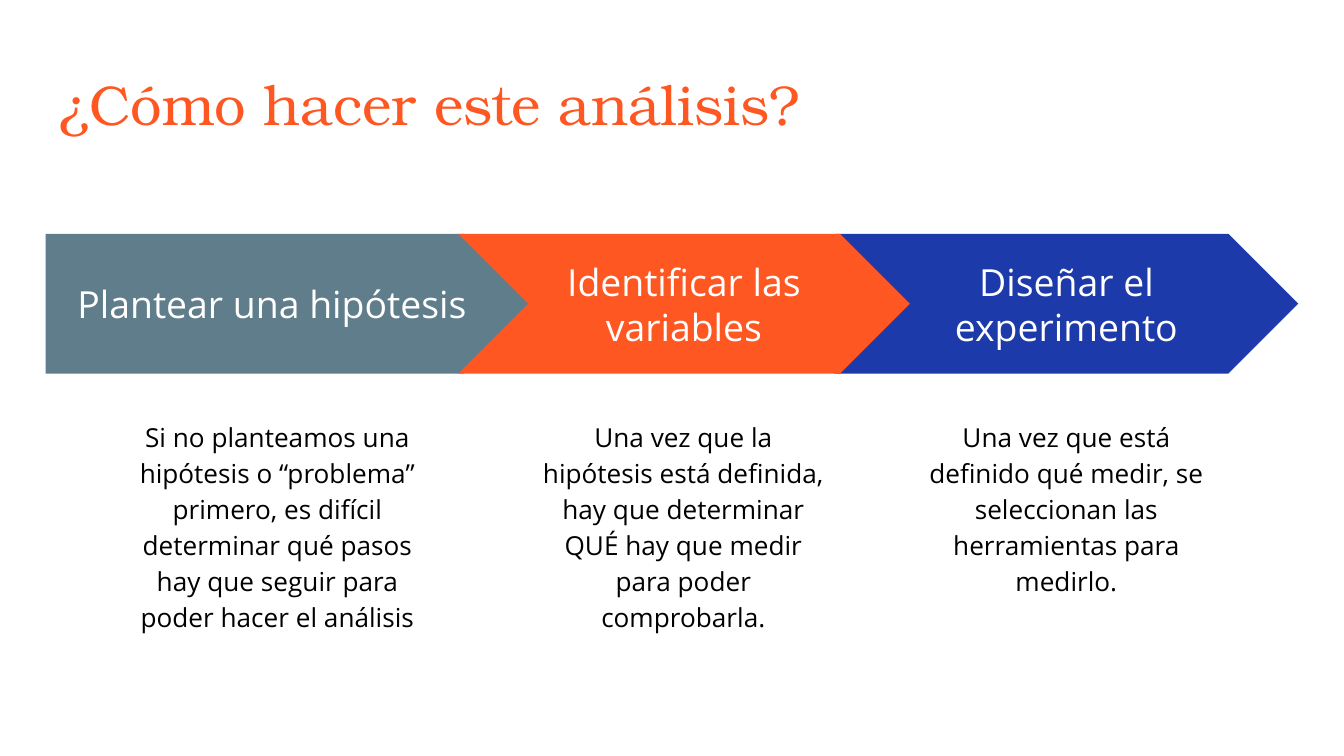
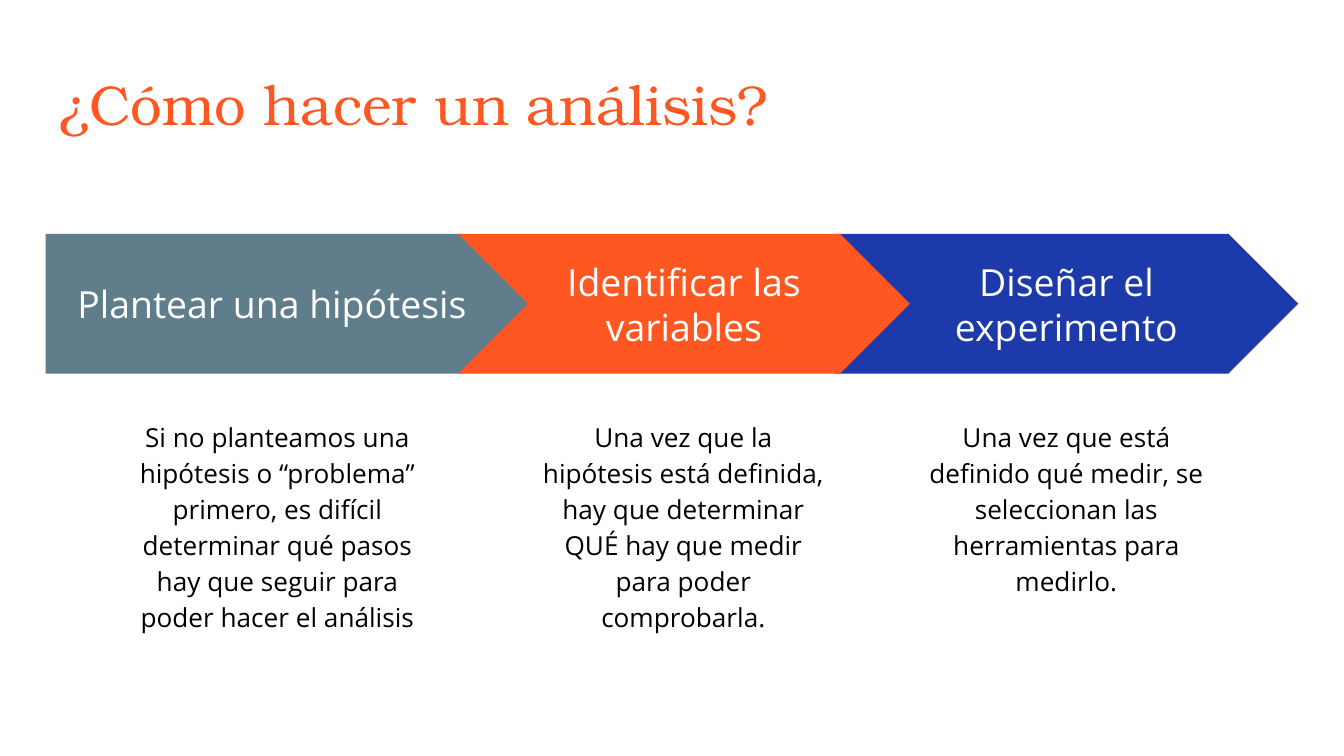
from dataclasses import dataclass

from pptx import Presentation
from pptx import util as u
from pptx.dml.color import RGBColor
from pptx.enum import shapes, text

TITLES = ["¿Cómo hacer este análisis?", "¿Cómo hacer un análisis?"]

STEPS = [
    {
        "name": "Plantear una hipótesis",
        "detail": "Si no planteamos una hipótesis o “problema” primero, es difícil "
                  "determinar qué pasos hay que seguir para poder hacer el análisis",
        "outline": shapes.MSO_SHAPE.PENTAGON,
        "fill": "607D8B",
        "width": 3.63,
        "detail_left": 0.9,
    },
    {
        "name": "Identificar las variables",
        "detail": "Una vez que la hipótesis está definida, hay que determinar QUÉ "
                  "hay que medir para poder comprobarla.",
        "outline": shapes.MSO_SHAPE.CHEVRON,
        "fill": "FF5722",
        "width": 3.36,
        "detail_left": 3.92,
    },
    {
        "name": "Diseñar el experimento",
        "detail": "Una vez que está definido qué medir, se seleccionan las "
                  "herramientas para medirlo.",
        "outline": shapes.MSO_SHAPE.CHEVRON,
        "fill": "1C3AA9",
        "width": 3.45,
        "detail_left": 6.77,
    },
]
BACK_TO_FRONT = (2, 0, 1)


@dataclass(frozen=True)
class Theme:
    title_font: str = "TeX Gyre Bonum"
    body_font: str = "Open Sans"
    title_size: int = 30
    step_size: int = 20
    detail_size: int = 14
    accent: str = "FF5722"
    light: str = "FFFFFF"
    dark: str = "000000"


THEME = Theme()
PAGE_WIDTH = 10
PAGE_HEIGHT = PAGE_WIDTH * 9 / 16
LEFT, CONTENT_WIDTH = 0.34, 9.32
TITLE_TOP, TITLE_HEIGHT = 0.49, 0.63
STEP_TOP, STEP_HEIGHT, STEP_OVERLAP = 1.74, 1.04, 0.56
DETAIL_TOP, DETAIL_WIDTH, DETAIL_HEIGHT = 3, 2.33, 1.9
INSET = 0.1


def write(box, content, font, size, color, align, anchor, spacing=1.0):
    frame = box.text_frame
    frame.text = content
    frame.word_wrap = True
    frame.auto_size = text.MSO_AUTO_SIZE.NONE
    frame.vertical_anchor = anchor
    frame.margin_left = frame.margin_right = u.Inches(INSET)
    frame.margin_top = frame.margin_bottom = u.Inches(INSET)
    for para in frame.paragraphs:
        para.alignment = align
        para.line_spacing = spacing
        for span in para.runs:
            span.font.name = font
            span.font.size = u.Pt(size)
            span.font.color.rgb = RGBColor.from_string(color)


def add_title(page, content):
    title = page.shapes.title
    title.left, title.top = u.Inches(LEFT), u.Inches(TITLE_TOP)
    title.width, title.height = u.Inches(CONTENT_WIDTH), u.Inches(TITLE_HEIGHT)
    write(title, content, THEME.title_font, THEME.title_size, THEME.accent,
          text.PP_ALIGN.LEFT, text.MSO_ANCHOR.BOTTOM)


def add_step(page, step, left):
    arrow = page.shapes.add_shape(
        step["outline"], u.Inches(left), u.Inches(STEP_TOP),
        u.Inches(step["width"]), u.Inches(STEP_HEIGHT))
    arrow.adjustments[0] = 0.5
    arrow.shadow.inherit = False
    arrow.fill.solid()
    arrow.fill.fore_color.rgb = RGBColor.from_string(step["fill"])
    arrow.line.fill.background()
    write(arrow, step["name"], THEME.body_font, THEME.step_size, THEME.light,
          text.PP_ALIGN.CENTER, text.MSO_ANCHOR.MIDDLE)

    detail = page.shapes.add_textbox(
        u.Inches(step["detail_left"]), u.Inches(DETAIL_TOP),
        u.Inches(DETAIL_WIDTH), u.Inches(DETAIL_HEIGHT))
    write(detail, step["detail"], THEME.body_font, THEME.detail_size, THEME.dark,
          text.PP_ALIGN.CENTER, text.MSO_ANCHOR.TOP, spacing=1.15)


def add_process_page(deck, title):
    page = deck.slides.add_slide(deck.slide_layouts.get_by_name("Title Only"))
    add_title(page, title)
    for index in BACK_TO_FRONT:
        left = LEFT + sum(step["width"] - STEP_OVERLAP for step in STEPS[:index])
        add_step(page, STEPS[index], left)


def main():
    deck = Presentation()
    deck.slide_width, deck.slide_height = u.Inches(PAGE_WIDTH), u.Inches(PAGE_HEIGHT)
    for title in TITLES:
        add_process_page(deck, title)
    deck.save("out.pptx")


if __name__ == "__main__":
    main()
